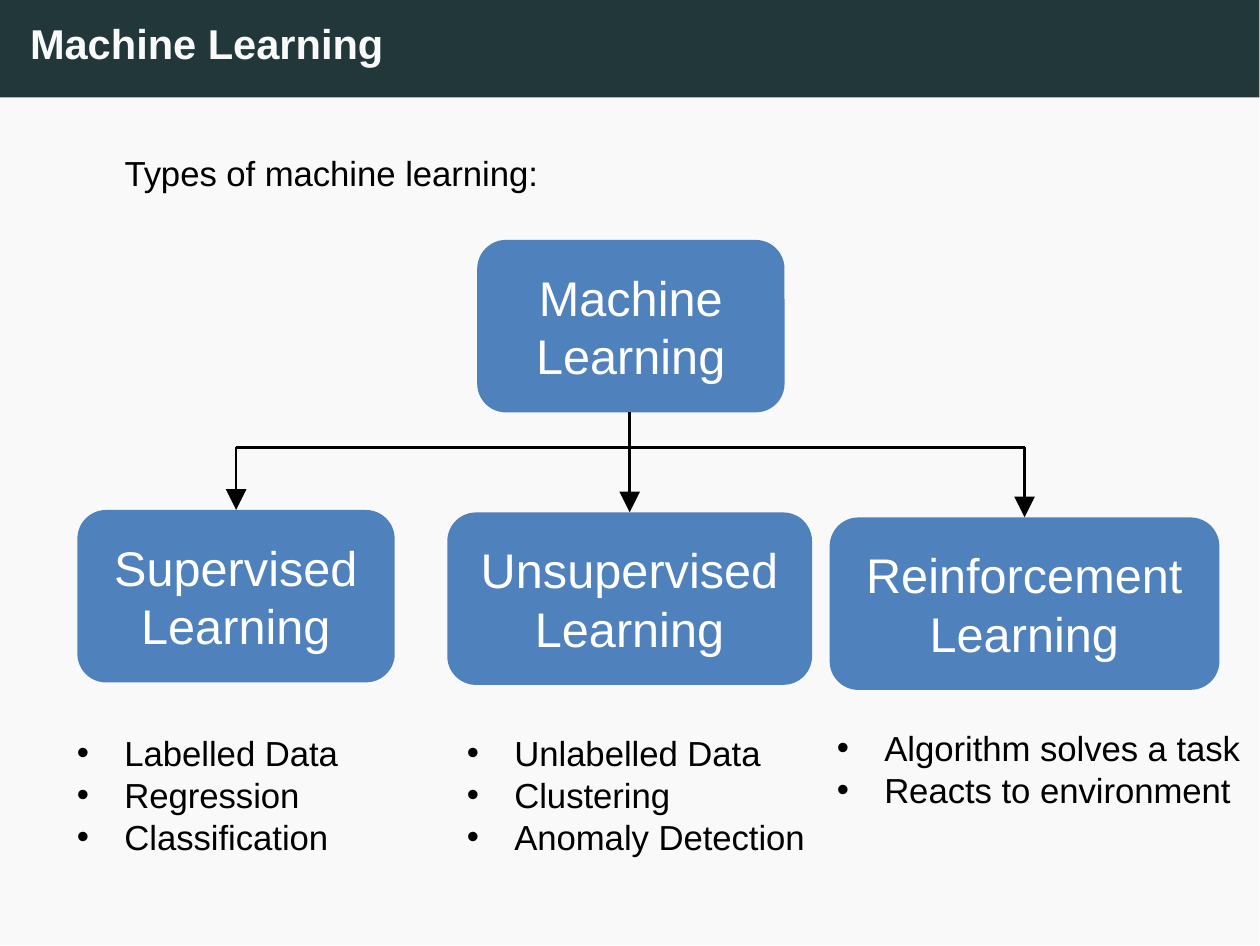
import pptx
import pptx.util
import pptx.dml.color
import pptx.enum.shapes
import pptx.enum.text
import pptx.oxml
import pptx.oxml.ns

Inches = pptx.util.Inches
Pt = pptx.util.Pt

# Content: label, box left, top, width, then list left, top, width, items
TITLE = "Machine Learning"
INTRO = "Types of machine learning:"
ROOT = ("Machine Learning", 1.91, 0.96, 1.23)
BRANCHES = [
    (("Supervised Learning", 0.31, 2.04, 1.27),
     (0.21, 2.88, 1.37), ["Labelled Data", "Regression", "Classification"]),
    (("Unsupervised Learning", 1.79, 2.05, 1.46),
     (1.77, 2.88, 1.56), ["Unlabelled Data", "Clustering", "Anomaly Detection"]),
    (("Reinforcement Learning", 3.32, 2.07, 1.56),
     (3.25, 2.86, 1.82), ["Algorithm solves a task", "Reacts to environment"]),
]
WIDTH, HEIGHT = 5.04, 3.78
BAND_HEIGHT = 0.39
BOX_HEIGHT = 0.69
RAIL_Y = 1.79
LINE_HEIGHT = 0.17
INDENT = 0.19
BLACK, WHITE, PALE, DARK, BLUE = "000000", "FFFFFF", "F9F9F9", "22373A", "4F81BD"


def color(value):
    return pptx.dml.color.RGBColor.from_string(value)


def style_text(frame, size, ink, bold=False):
    for para in frame.paragraphs:
        for span in para.runs:
            span.font.name = "Arial"
            span.font.size = Pt(size)
            span.font.bold = bold
            span.font.color.rgb = color(ink)


def add_block(kind, left, top, width, height, fill):
    block = page.shapes.add_shape(
        kind, Inches(left), Inches(top), Inches(width), Inches(height))
    block.shadow.inherit = False
    block.fill.solid()
    block.fill.fore_color.rgb = color(fill)
    block.line.fill.background()
    return block


def add_node(label, left, top, width):
    node = add_block(pptx.enum.shapes.MSO_SHAPE.ROUNDED_RECTANGLE,
                     left, top, width, BOX_HEIGHT, BLUE)
    frame = node.text_frame
    frame.text = label
    frame.word_wrap = True
    frame.vertical_anchor = pptx.enum.text.MSO_ANCHOR.MIDDLE
    frame.paragraphs[0].alignment = pptx.enum.text.PP_ALIGN.CENTER
    style_text(frame, 14, WHITE)


def add_text(lines, left, top, width, height):
    box = page.shapes.add_textbox(
        Inches(left), Inches(top), Inches(width), Inches(height))
    frame = box.text_frame
    frame.word_wrap = True
    frame.text = "\n".join(lines)
    style_text(frame, 10, BLACK)
    return frame


def make_element(markup):
    name = markup.split()[0]
    return pptx.oxml.parse_xml(
        markup.replace(name, f'<a:{name} {pptx.oxml.ns.nsdecls("a")}', 1) + "/>")


def add_bullets(frame):
    for para in frame.paragraphs:
        props = para._p.get_or_add_pPr()
        props.set("marL", str(Inches(INDENT)))
        props.set("indent", str(-Inches(INDENT)))
        props.append(make_element('buFont typeface="Arial"'))
        props.append(make_element('buChar char="•"'))


def add_line(start, end, arrow=False):
    link = page.shapes.add_connector(
        pptx.enum.shapes.MSO_CONNECTOR.STRAIGHT,
        Inches(start[0]), Inches(start[1]), Inches(end[0]), Inches(end[1]))
    link.line.color.rgb = color(BLACK)
    link.line.width = Pt(0.75)
    if arrow:
        link.line._get_or_add_ln().append(make_element('tailEnd type="triangle"'))
    link._element.spPr.append(make_element("effectLst"))


deck = pptx.Presentation()
deck.slide_width, deck.slide_height = Pt(363), Pt(272.5)
page = deck.slides.add_slide(deck.slide_layouts[5])
title = page.shapes.title

# Pale panel and title band, behind the title
for top, height, fill in [(BAND_HEIGHT, HEIGHT - BAND_HEIGHT, PALE),
                          (0, BAND_HEIGHT, DARK)]:
    panel = add_block(pptx.enum.shapes.MSO_SHAPE.RECTANGLE,
                      0, top, WIDTH, height, fill)
    title.element.addprevious(panel.element)

# Title
title.left, title.top = Inches(0.12), Inches(0.07)
title.width, title.height = Inches(4.8), Inches(0.2)
heading = title.text_frame
heading.text = TITLE
heading.margin_left = heading.margin_right = 0
heading.margin_top = heading.margin_bottom = 0
heading.vertical_anchor = pptx.enum.text.MSO_ANCHOR.TOP
heading.auto_size = pptx.enum.text.MSO_AUTO_SIZE.SHAPE_TO_FIT_TEXT
heading.paragraphs[0].alignment = pptx.enum.text.PP_ALIGN.LEFT
style_text(heading, 12, PALE, bold=True)

# Intro and root of the tree
add_text([INTRO], 0.4, 0.56, 4.25, 3.15)
add_node(*ROOT)

# Branches with their lists
for node, (left, top, width), items in BRANCHES:
    add_node(*node)
    add_bullets(add_text(items, left, top, width, 0.1 + LINE_HEIGHT * len(items)))

# Connectors: the middle arrow starts at the root, the outer ones at the rail
centers = [left + width / 2 for (_, left, _, width), _, _ in BRANCHES]
starts = [RAIL_Y, ROOT[2] + BOX_HEIGHT, RAIL_Y]
add_line((centers[0], RAIL_Y), (centers[-1], RAIL_Y))
for (node, _, _), center, start in zip(BRANCHES, centers, starts):
    add_line((center, start), (center, node[2]), arrow=True)

deck.save("out.pptx")
